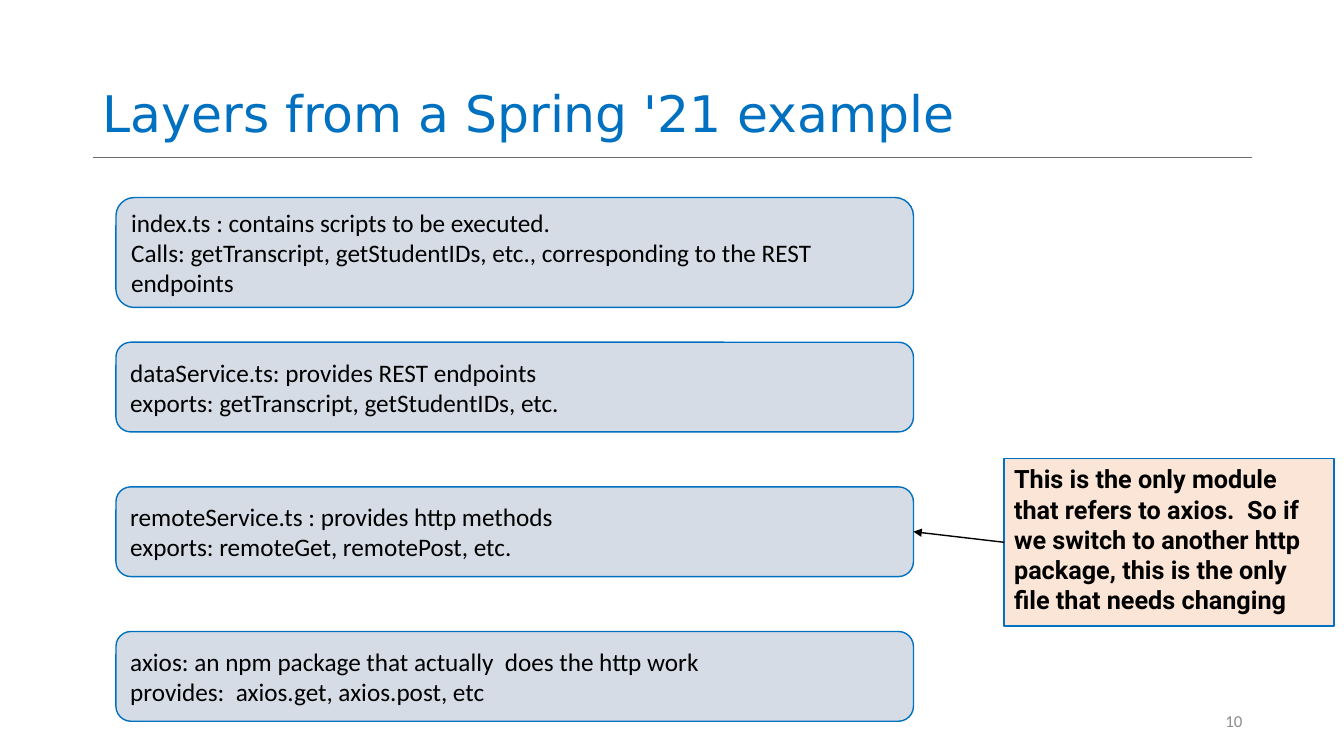
from lxml import etree
from pptx import Presentation
from pptx.dml.color import RGBColor
from pptx.enum import shapes, text
from pptx.oxml import ns
from pptx.util import Inches, Pt

BLUE = RGBColor(0x00, 0x70, 0xC0)
BLACK = RGBColor(0x00, 0x00, 0x00)
RULE_GRAY = RGBColor(0x6E, 0x6E, 0x6E)
NUMBER_GRAY = RGBColor(0x8C, 0x8C, 0x8C)
LAYER_FILL = RGBColor(0xD6, 0xDC, 0xE5)
NOTE_FILL = RGBColor(0xFB, 0xE5, 0xD6)

LAYER_LEFT, LAYER_WIDTH = 1.15, 7.91
FIRST_TOP, LAYER_PITCH = 1.96, 1.435
LAYERS = [
    (1.09, ["index.ts : contains scripts to be executed.",
            "Calls: getTranscript, getStudentIDs, etc., corresponding to the REST endpoints"]),
    (0.89, ["dataService.ts: provides REST endpoints",
            "exports: getTranscript, getStudentIDs, etc."]),
    (0.89, ["remoteService.ts : provides http methods",
            "exports: remoteGet, remotePost, etc."]),
    (0.89, ["axios: an npm package that actually  does the http work",
            "provides:  axios.get, axios.post, etc"]),
]
NOTE = ("This is the only module that refers to axios.  So if we switch to another "
        "http package, this is the only file that needs changing")


def write(sp, lines, font="Calibri", size=18, color=BLACK, bold=False,
          align=text.PP_ALIGN.LEFT, anchor=text.MSO_ANCHOR.MIDDLE, spacing=None):
    tf = sp.text_frame
    tf.word_wrap = True
    tf.vertical_anchor = anchor
    for i, line in enumerate(lines):
        p = tf.add_paragraph() if i else tf.paragraphs[0]
        p.alignment = align
        p.line_spacing = spacing
        r = p.add_run()
        r.text = line
        r.font.name = font
        r.font.size = Pt(size)
        r.font.bold = bold
        r.font.color.rgb = color


def add_text(s, box, lines, **fmt):
    write(s.shapes.add_textbox(*map(Inches, box)), lines, **fmt)


def add_box(s, kind, box, fill, lines, **fmt):
    sp = s.shapes.add_shape(kind, *map(Inches, box))
    sp.shadow.inherit = False
    sp.fill.solid()
    sp.fill.fore_color.rgb = fill
    sp.line.color.rgb = BLUE
    sp.line.width = Pt(1)
    write(sp, lines, **fmt)
    return sp


def add_line(s, start, end, color, width, arrow=False):
    ln = s.shapes.add_connector(shapes.MSO_CONNECTOR.STRAIGHT,
                                *map(Inches, start + end))
    ln.line.color.rgb = color
    ln.line.width = Pt(width)
    if arrow:
        etree.SubElement(ln.line._get_or_add_ln(), ns.qn("a:tailEnd"), type="triangle")
    etree.SubElement(ln._element.spPr, ns.qn("a:effectLst"))
    return ln


def main():
    prs = Presentation()
    prs.slide_width, prs.slide_height = Inches(13.33), Inches(7.5)
    s = prs.slides.add_slide(prs.slide_layouts[6])

    add_line(s, (0.92, 1.56), (12.42, 1.56), RULE_GRAY, 0.5)
    add_text(s, (0.92, 0.02, 11.5, 1.45), ["Layers from a Spring '21 example"],
             font="DejaVu Sans", size=36, color=BLUE,
             anchor=text.MSO_ANCHOR.BOTTOM, spacing=0.9)
    add_text(s, (9.42, 6.95, 3, 0.4), ["10"], size=12, color=NUMBER_GRAY,
             align=text.PP_ALIGN.RIGHT)

    layers = [
        add_box(s, shapes.MSO_SHAPE.ROUNDED_RECTANGLE,
                (LAYER_LEFT, FIRST_TOP + i * LAYER_PITCH, LAYER_WIDTH, height),
                LAYER_FILL, lines)
        for i, (height, lines) in enumerate(LAYERS)
    ]
    note = add_box(s, shapes.MSO_SHAPE.RECTANGLE, (9.96, 4.55, 3.27, 1.66),
                   NOTE_FILL, [NOTE], font="Roboto", bold=True,
                   anchor=text.MSO_ANCHOR.TOP)
    arrow = add_line(s, (9.96, 5.38), (9.06, 5.27), BLACK, 1, arrow=True)
    arrow.begin_connect(note, 1)
    arrow.end_connect(layers[2], 3)

    prs.save("out.pptx")


if __name__ == "__main__":
    main()
